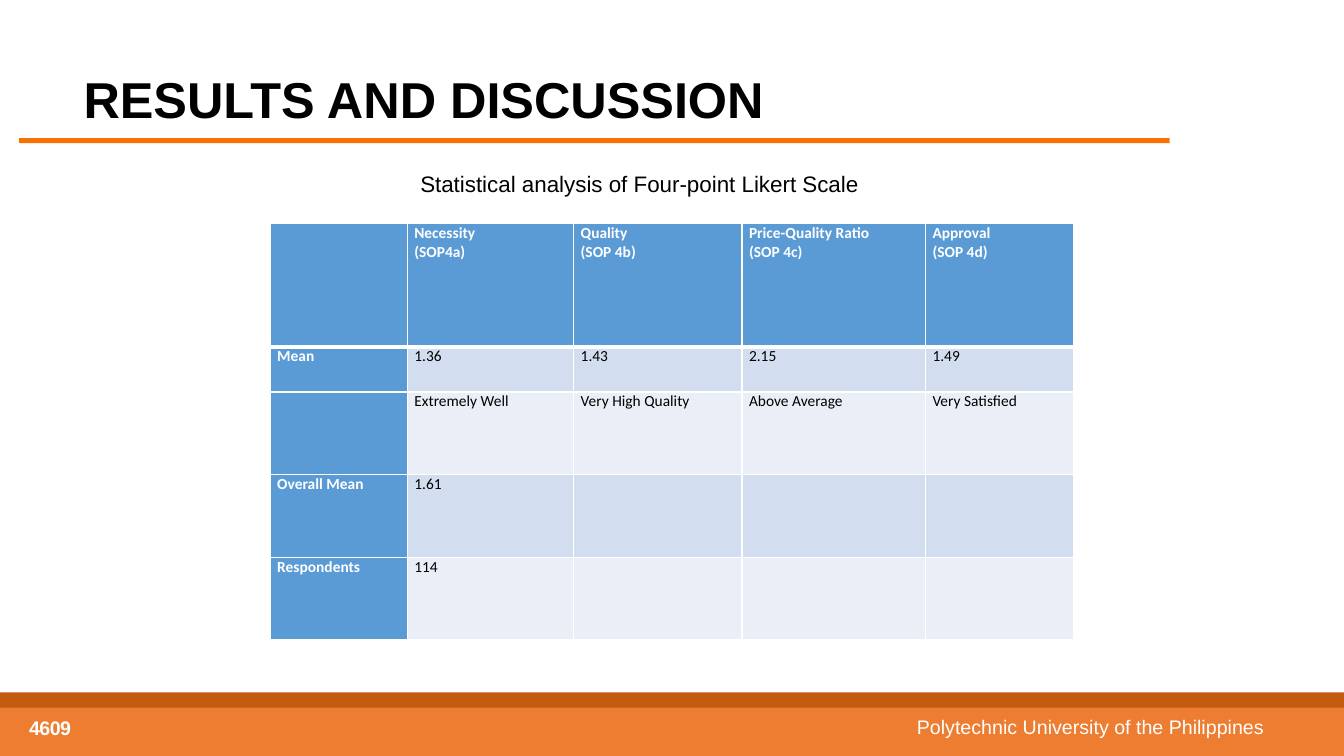
import pptx
import pptx.util
import pptx.dml.color
import pptx.enum.shapes
import pptx.enum.text
import pptx.oxml
import pptx.oxml.ns

Inches = pptx.util.Inches
Pt = pptx.util.Pt
ALIGN = pptx.enum.text.PP_ALIGN
ANCHOR = pptx.enum.text.MSO_ANCHOR

COLORS = {
    "white": "FFFFFF",
    "black": "000000",
    "rule": "F87203",
    "band_dark": "C55A11",
    "band": "ED7D31",
    "header": "5B9BD5",
    "row_odd": "D2DEEF",
    "row_even": "EAEFF7",
}

ROWS = [
    ["", "Necessity\n(SOP4a)", "Quality\n(SOP 4b)", "Price-Quality Ratio\n(SOP 4c)", "Approval\n(SOP 4d)"],
    ["Mean", "1.36", "1.43", "2.15", "1.49"],
    ["", "Extremely Well", "Very High Quality", "Above Average", "Very Satisfied"],
    ["Overall Mean", "1.61", "", "", ""],
    ["Respondents", "114", "", "", ""],
]
COL_WIDTHS = [1.36, 1.65, 1.67, 1.82, 1.47]
ROW_HEIGHTS = [1.22, 0.45, 0.82, 0.82, 0.82]


def rgb(name):
    return pptx.dml.color.RGBColor.from_string(COLORS[name])


def set_all(obj, values):
    for name, value in values.items():
        setattr(obj, name, value)


class SlideBuilder:
    def __init__(self, slide):
        self.slide = slide

    def bar(self, left, top, width, height, color):
        sp = self.slide.shapes.add_shape(
            pptx.enum.shapes.MSO_SHAPE.RECTANGLE,
            Inches(left), Inches(top), Inches(width), Inches(height))
        sp.shadow.inherit = False
        sp.fill.solid()
        sp.fill.fore_color.rgb = rgb(color)
        sp.line.fill.background()

    def fill_text(self, tf, text, color, font, para):
        tf.text = text
        for p in tf.paragraphs:
            set_all(p, para)
            for r in p.runs:
                set_all(r.font, font)
                r.font.color.rgb = rgb(color)

    def text(self, left, top, width, height, text, color, font, frame={}, para={}):
        sp = self.slide.shapes.add_textbox(
            Inches(left), Inches(top), Inches(width), Inches(height))
        tf = sp.text_frame
        set_all(tf, {"word_wrap": True, **frame})
        self.fill_text(tf, text, color, {"name": "Arial", **font}, para)
        return tf

    def borders(self, cell, bottom):
        tcPr = cell._tc.get_or_add_tcPr()
        widths = {"lnL": 1, "lnR": 1, "lnT": 1, "lnB": bottom}
        for i, (tag, width) in enumerate(widths.items()):
            tcPr.insert(i, pptx.oxml.parse_xml(
                f'<a:{tag} {pptx.oxml.ns.nsdecls("a")} w="{Pt(width)}"><a:solidFill>'
                f'<a:srgbClr val="{COLORS["white"]}"/></a:solidFill></a:{tag}>'))

    def table(self, left, top, rows, widths, heights):
        table = self.slide.shapes.add_table(
            len(rows), len(widths), Inches(left), Inches(top),
            Inches(sum(widths)), Inches(sum(heights))).table
        for col, width in zip(table.columns, widths):
            col.width = Inches(width)
        for row, height in zip(table.rows, heights):
            row.height = Inches(height)
        margins = {"margin_left": Inches(0.07), "margin_right": Inches(0.07),
                   "margin_top": 0, "margin_bottom": 0}
        for i, row in enumerate(rows):
            for j, text in enumerate(row):
                cell = table.cell(i, j)
                heading = i == 0 or j == 0
                fill = "header" if heading else "row_odd" if i % 2 else "row_even"
                set_all(cell, margins)
                cell.fill.solid()
                cell.fill.fore_color.rgb = rgb(fill)
                self.borders(cell, 3 if i == 0 else 1)
                self.fill_text(cell.text_frame, text, "white" if heading else "black",
                               {"name": "Calibri", "size": Pt(11), "bold": heading},
                               {"alignment": ALIGN.JUSTIFY})


def main():
    prs = pptx.Presentation()
    prs.slide_width = Inches(13.33)
    prs.slide_height = Inches(7.5)
    s = SlideBuilder(prs.slides.add_slide(prs.slide_layouts[6]))

    s.bar(0.19, 1.37, 11.41, 0.05, "rule")
    s.bar(0, 6.87, 13.33, 0.23, "band_dark")
    s.bar(0, 7.02, 13.33, 0.48, "band")

    s.text(0.73, 0.63, 11.08, 0.71, "RESULTS AND DISCUSSION", "black",
           {"size": Pt(36), "bold": True})
    number = s.text(0.19, 6.99, 2.86, 0.4, "4609", "white",
                    {"size": Pt(14), "bold": True},
                    {"vertical_anchor": ANCHOR.BOTTOM}, {"line_spacing": 0.85})
    number.paragraphs[0].runs[0]._r.get_or_add_rPr().set("spc", "-40")
    s.text(7.45, 7.11, 5.09, 0.25, "Polytechnic University of the Philippines", "white",
           {"size": Pt(14)}, {"margin_left": 0, "margin_right": 0},
           {"alignment": ALIGN.RIGHT, "line_spacing": 0.7})
    s.table(2.68, 2.22, ROWS, COL_WIDTHS, ROW_HEIGHTS)
    s.text(4.07, 1.64, 7.74, 0.37, "Statistical analysis of Four-point Likert Scale",
           "black", {"size": Pt(16)})

    prs.save("out.pptx")


if __name__ == "__main__":
    main()
